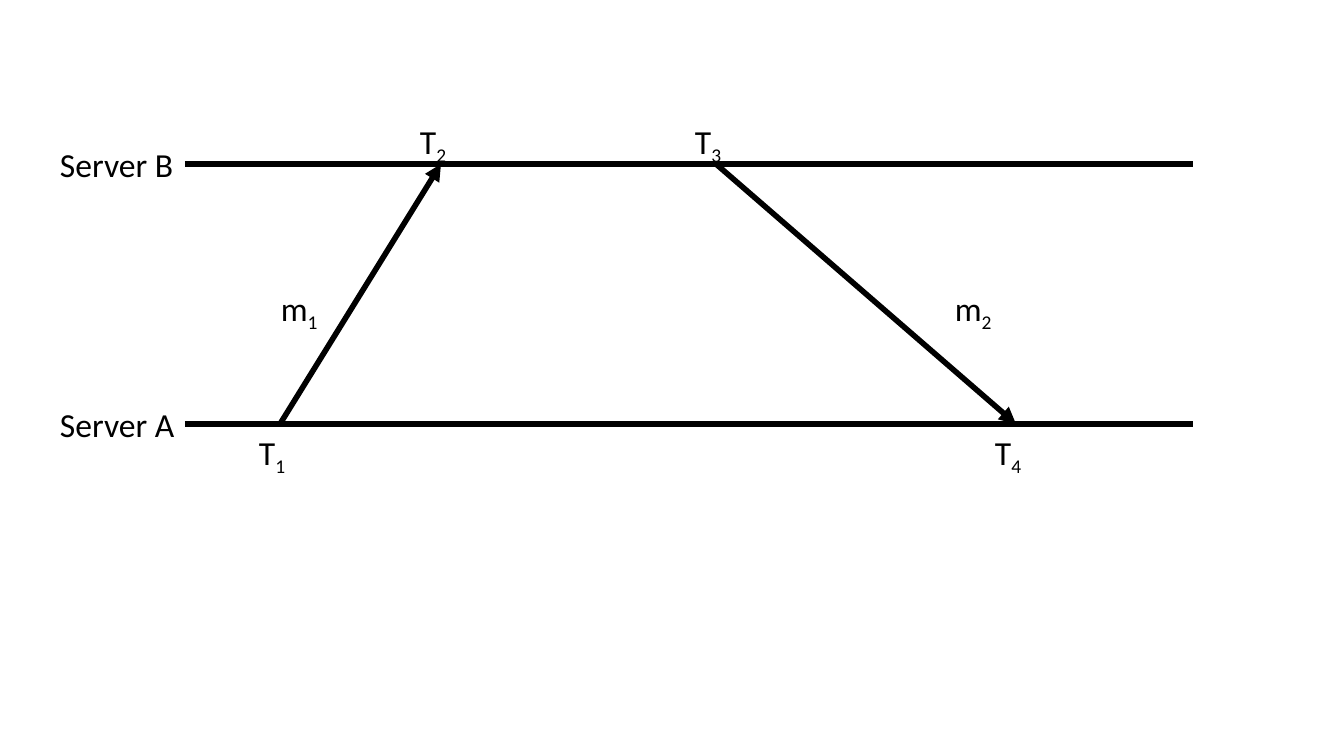
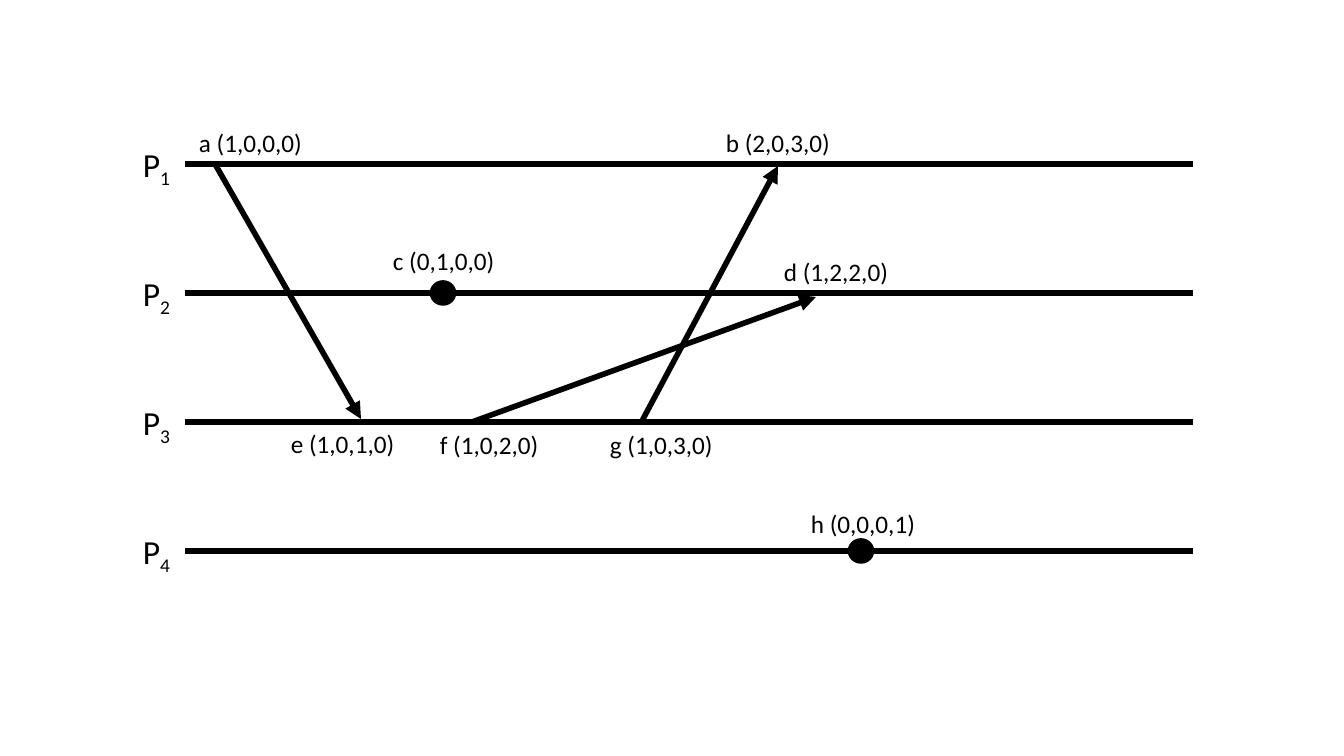
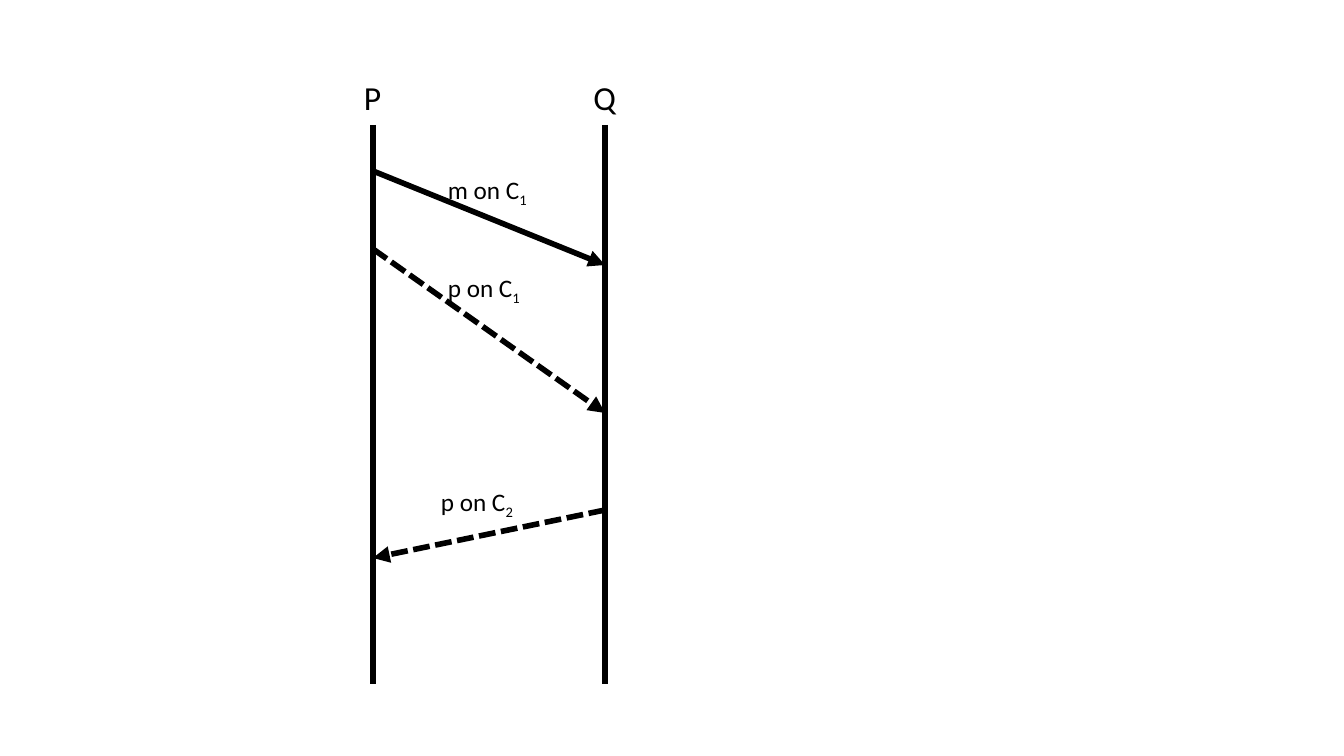
from collections import namedtuple

from lxml import etree
from pptx import Presentation
from pptx.dml.color import RGBColor
from pptx.enum.dml import MSO_LINE
from pptx.enum.shapes import MSO_CONNECTOR, MSO_SHAPE
from pptx.enum.text import MSO_AUTO_SIZE
from pptx.oxml.ns import qn
from pptx.util import Pt

STRAIGHT = MSO_CONNECTOR.STRAIGHT
OVAL = MSO_SHAPE.OVAL
GROW = MSO_AUTO_SIZE.SHAPE_TO_FIT_TEXT
DASHED = MSO_LINE.SQUARE_DOT

PIXEL = 914400 / 100.8
COLORS = {"ink": "000000", "paper": "FFFFFF"}
FONT = "Calibri"
LINE_WIDTH = 4
NAME_SIZE, NAME_HEIGHT = 24, 50
EVENT_SIZE, EVENT_HEIGHT = 18, 40

Box = namedtuple("Box", "left top width height")


def emu(pixels):
    return round(pixels * PIXEL)


def color(name):
    return RGBColor.from_string(COLORS[name])


def add_page(deck):
    page = deck.slides.add_slide(deck.slide_layouts[6])
    page.background.fill.solid()
    page.background.fill.fore_color.rgb = color("paper")
    return page


def add_label(page, text, box, size=NAME_SIZE, wrap=False):
    """Text after an underscore becomes a subscript."""
    frame = page.shapes.add_textbox(*map(emu, box)).text_frame
    frame.word_wrap = wrap
    frame.auto_size = GROW
    para = frame.paragraphs[0]
    for index, part in enumerate(text.split("_")):
        span = para.add_run()
        span.text = part
        span.font.name = FONT
        span.font.size = Pt(size)
        span.font.color.rgb = color("ink")
        if index:
            span.font._element.set("baseline", "-25000")


def add_line(page, start, end, arrow=False, dash=None):
    connector = page.shapes.add_connector(STRAIGHT, *map(emu, (*start, *end)))
    connector.line.color.rgb = color("ink")
    connector.line.width = Pt(LINE_WIDTH)
    if dash:
        connector.line.dash_style = dash
    properties = connector._element.spPr
    if arrow:
        outline = properties.find(qn("a:ln"))
        etree.SubElement(outline, qn("a:tailEnd"), type="triangle")
    etree.SubElement(properties, qn("a:effectLst"))


def add_dot(page, x, y, width=21, height=20):
    dot = page.shapes.add_shape(
        OVAL, *map(emu, (x - width / 2, y - height / 2, width, height)))
    dot.shadow.inherit = False
    dot.fill.solid()
    dot.fill.fore_color.rgb = color("ink")
    dot.line.color.rgb = color("ink")
    dot.line.width = Pt(LINE_WIDTH)


def add_timelines(page, box, names, name_width):
    """Evenly spaced horizontal lines, each named at its left end."""
    pitch = box.height // (len(names) - 1)
    for row, name in enumerate(names):
        y = box.top + row * pitch
        add_line(page, (box.left, y), (box.left + box.width, y))
        add_label(page, name, Box(box.left - name_width, y - NAME_HEIGHT // 2,
                                  name_width, NAME_HEIGHT), wrap=True)


def add_events(page, box, events):
    for text, x, y, width in events:
        add_label(page, text, Box(box.left + x, box.top + y, width, EVENT_HEIGHT),
                  size=EVENT_SIZE)


def add_messages(page, box, messages, dash=None):
    for x1, y1, x2, y2 in messages:
        add_line(page, (box.left + x1, box.top + y1),
                 (box.left + x2, box.top + y2), arrow=True, dash=dash)


def server_exchange(page, box):
    add_timelines(page, box, ["Server B", "Server A"], 135)
    bottom = box.height
    add_messages(page, box, [(95, bottom, 256, 0), (531, 0, 831, bottom)])
    # Message names
    for text, x in (("m_1", 86), ("m_2", 760)):
        add_label(page, text, Box(box.left + x, box.top + 119, 58, NAME_HEIGHT))
    # Times above the upper line and below the lower line
    for text, x, y in (("T_1 ", 95, bottom + 3), ("T_2 ", 256, -48),
                       ("T_3 ", 531, -48), ("T_4 ", 831, bottom + 3)):
        add_label(page, text, Box(box.left + x - 31, box.top + y, 56, NAME_HEIGHT))


def vector_clocks(page, box):
    add_timelines(page, box, ["P_1", "P_2", "P_3", "P_4"], 52)
    add_messages(page, box, [(30, 0, 176, 255), (457, 257, 593, 2),
                             (287, 258, 631, 133)])
    # Local events
    for x, y in ((258, 129), (676, 387)):
        add_dot(page, box.left + x, box.top + y)
    add_events(page, box, [
        ("a (1,0,0,0)", 4, -42, 125), ("b (2,0,3,0)", 531, -42, 126),
        ("c (0,1,0,0)", 198, 76, 123), ("d (1,2,2,0)", 589, 87, 126),
        ("e (1,0,1,0)", 96, 259, 125), ("f (1,0,2,0)", 245, 260, 120),
        ("g (1,0,3,0)", 415, 260, 124), ("h (0,0,0,1)", 616, 339, 126)])


def channel_exchange(page, box):
    # Processes
    for name, x, width in (("P", box.left, 38), ("Q", box.left + box.width, 43)):
        add_line(page, (x, box.top), (x, box.top + box.height))
        add_label(page, name, Box(x - width / 2, box.top - 53, width, NAME_HEIGHT))
    # Messages between them
    right = box.width
    add_messages(page, box, [(0, 46, right, 140)])
    add_messages(page, box, [(0, 124, right, 288), (right, 385, 0, 433)], dash=DASHED)
    add_events(page, box, [("m on C_1", 65, 44, 102), ("p on C_1", 65, 142, 95),
                           ("p on C_2", 58, 356, 95)])


deck = Presentation()
deck.slide_width, deck.slide_height = emu(1344), emu(756)
server_exchange(add_page(deck), Box(185, 164, 1008, 260))
vector_clocks(add_page(deck), Box(185, 164, 1008, 387))
channel_exchange(add_page(deck), Box(373, 125, 232, 559))
deck.save("out.pptx")
